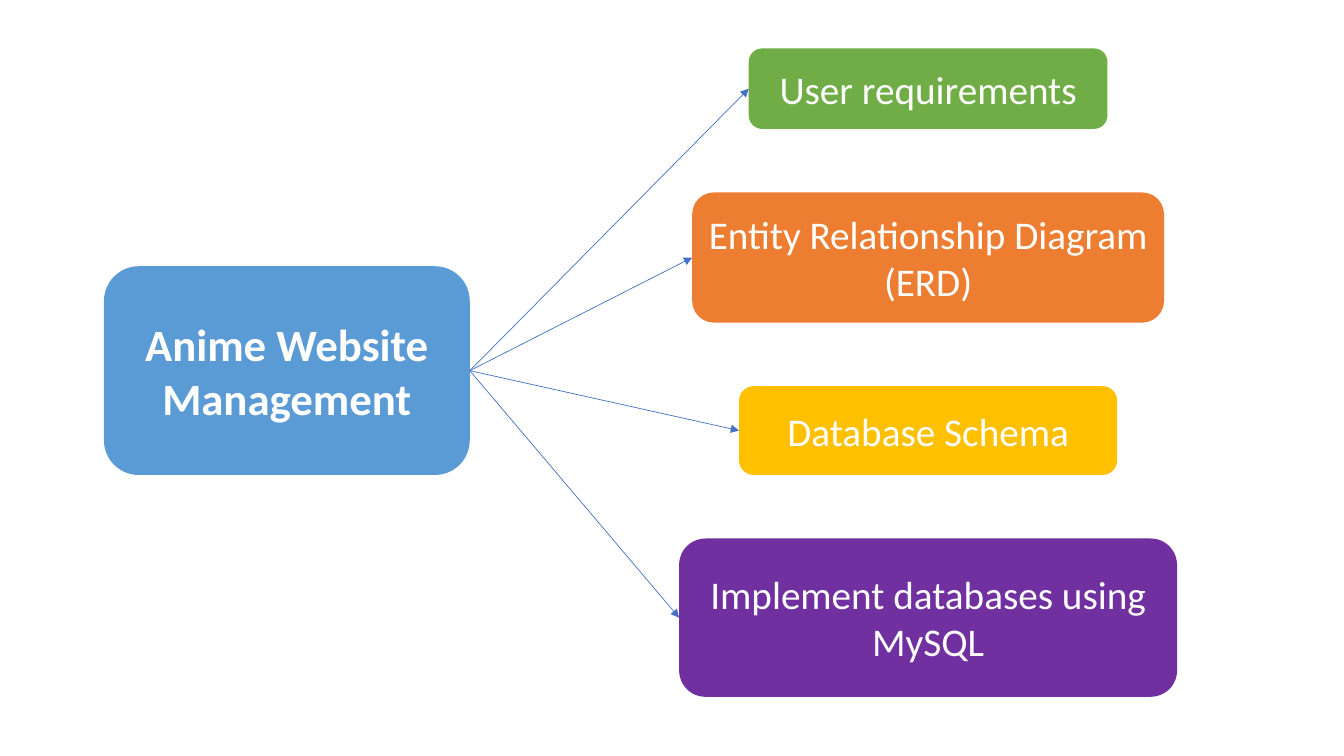
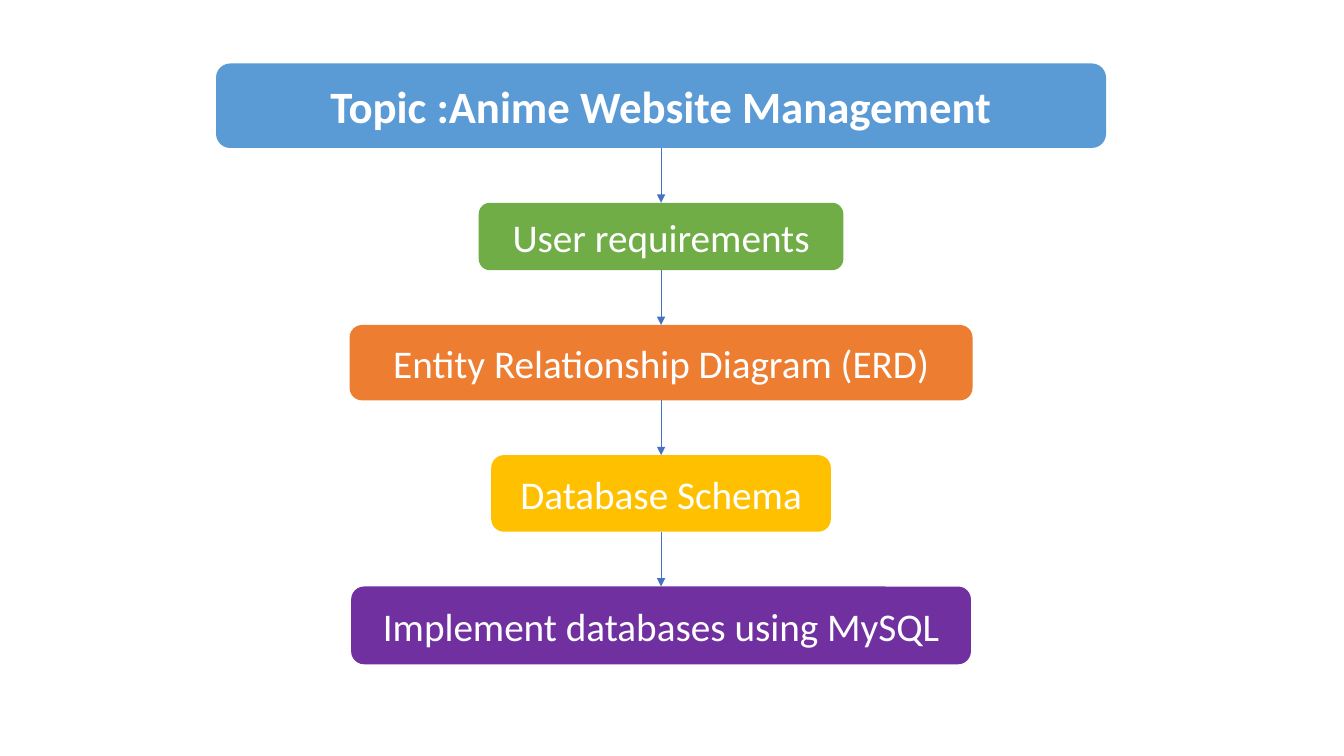
"""Build two diagrams of the anime website management project."""
from lxml.etree import SubElement
from pptx import Presentation
from pptx.dml.color import RGBColor
from pptx.enum.shapes import MSO_CONNECTOR, MSO_SHAPE
from pptx.enum.text import MSO_ANCHOR, PP_ALIGN
from pptx.oxml.ns import qn
from pptx.util import Cm, Pt

FONT, WHITE, BLUE, ARROW = "Calibri", "FFFFFF", "5B9BD5", "4472C4"
TOP, LEFT, BOTTOM, RIGHT = range(4)

STEPS = [
    ("User requirements", "70AD47"),
    ("Entity Relationship Diagram (ERD)", "ED7D31"),
    ("Database Schema", "FFC000"),
    ("Implement databases using MySQL", "7030A0"),
]
TOPIC = "Anime Website Management"
TOPIC_BOX = (2.62, 6.71, 9.22, 5.26)
BRANCH_SIZES = [(9.04, 2.03), (11.89, 3.28), (9.53, 2.24), (12.55, 3.99)]
HEADING = ("Topic :Anime Website Management", BLUE)
FLOW_SIZES = [(22.43, 2.13), (9.19, 1.7), (15.7, 1.9), (8.56, 1.93), (15.62, 1.96)]


def rgb(color):
    """Turn a hex string into a colour."""
    return RGBColor.from_string(color)


def add_box(s, text, color, left, top, width, height, main=False):
    """Add a rounded box with centred white text."""
    box = s.shapes.add_shape(MSO_SHAPE.ROUNDED_RECTANGLE,
                             Cm(left), Cm(top), Cm(width), Cm(height))
    box.shadow.inherit = False
    box.fill.solid()
    box.fill.fore_color.rgb = rgb(color)
    box.line.fill.background()
    tf = box.text_frame
    tf.word_wrap = True
    tf.vertical_anchor = MSO_ANCHOR.MIDDLE
    tf.margin_left = tf.margin_right = Cm(0.2)
    p = tf.paragraphs[0]
    p.text = text
    p.alignment = PP_ALIGN.CENTER
    p.font.name = FONT
    p.font.size = Pt(32 if main else 28)
    p.font.bold = main
    p.font.color.rgb = rgb(WHITE)
    return box


def add_column(s, items, sizes, center, top, gap, headed=False):
    """Stack boxes about a centre line with equal gaps."""
    boxes = []
    for (text, color), (width, height) in zip(items, sizes):
        main = headed and not boxes
        boxes.append(add_box(s, text, color, center - width / 2, top,
                             width, height, main))
        top += height + gap
    return boxes


def add_arrow(s, start, start_site, end, end_site):
    """Join two boxes with a thin arrow."""
    arrow = s.shapes.add_connector(MSO_CONNECTOR.STRAIGHT, 0, 0, 0, 0)
    arrow.begin_connect(start, start_site)
    arrow.end_connect(end, end_site)
    arrow.line.color.rgb = rgb(ARROW)
    arrow.line.width = Pt(0.5)
    SubElement(arrow.line._get_or_add_ln(), qn("a:tailEnd"), type="triangle")
    SubElement(arrow._element.spPr, qn("a:effectLst"))


def build_branches(s):
    """Draw the topic with an arrow to each step."""
    topic = add_box(s, TOPIC, BLUE, *TOPIC_BOX, main=True)
    for step in add_column(s, STEPS, BRANCH_SIZES, 23.39, 1.22, 1.6):
        add_arrow(s, topic, RIGHT, step, LEFT)


def build_flow(s):
    """Draw the steps one below the other."""
    boxes = add_column(s, [HEADING] + STEPS, FLOW_SIZES, 16.66, 1.6, 1.38, True)
    for upper, lower in zip(boxes, boxes[1:]):
        add_arrow(s, upper, BOTTOM, lower, TOP)


def main():
    """Build and save the presentation."""
    prs = Presentation()
    prs.slide_width, prs.slide_height = Cm(33.87), Cm(19.05)
    for build in (build_branches, build_flow):
        build(prs.slides.add_slide(prs.slide_layouts[6]))
    prs.save("out.pptx")


if __name__ == "__main__":
    main()
